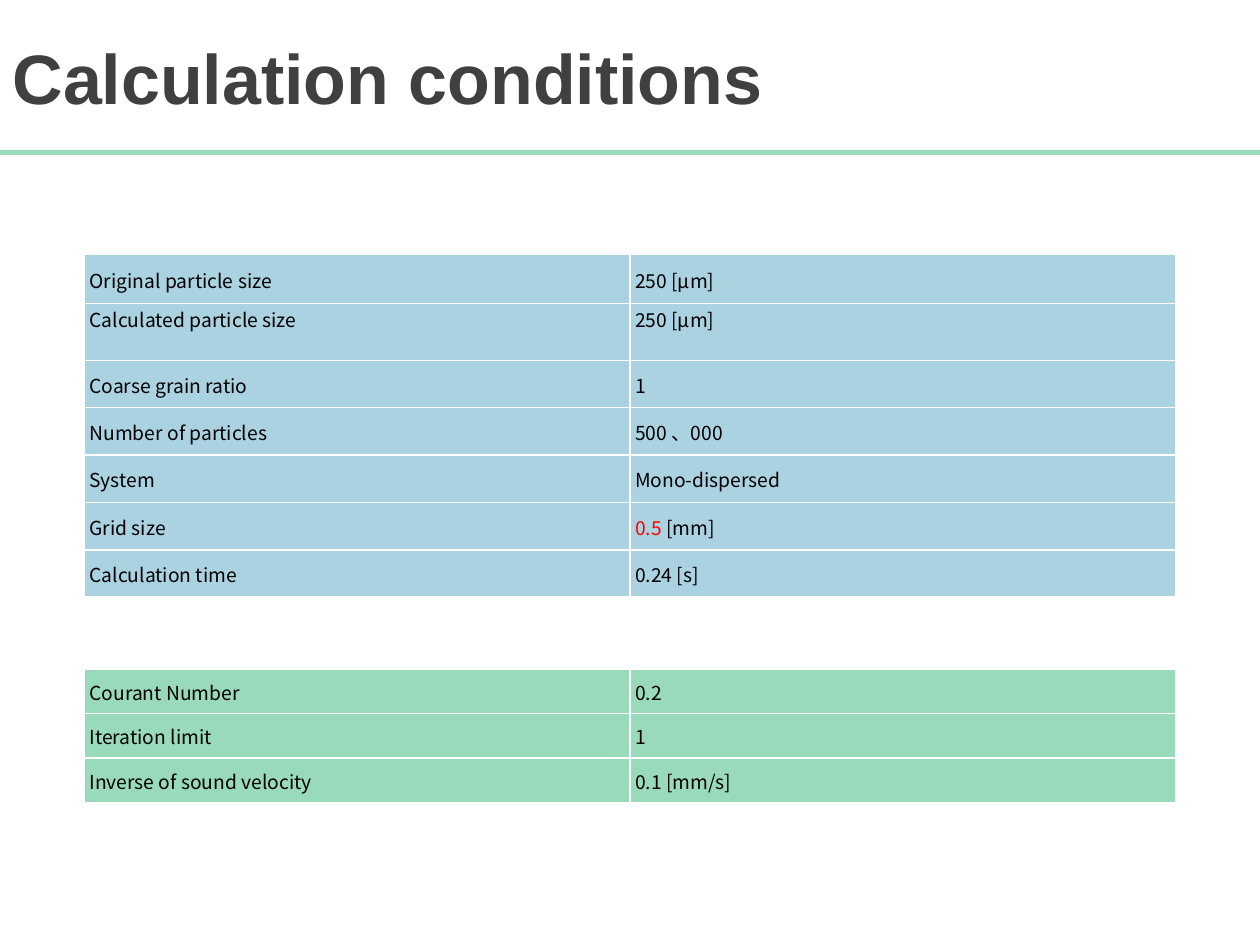
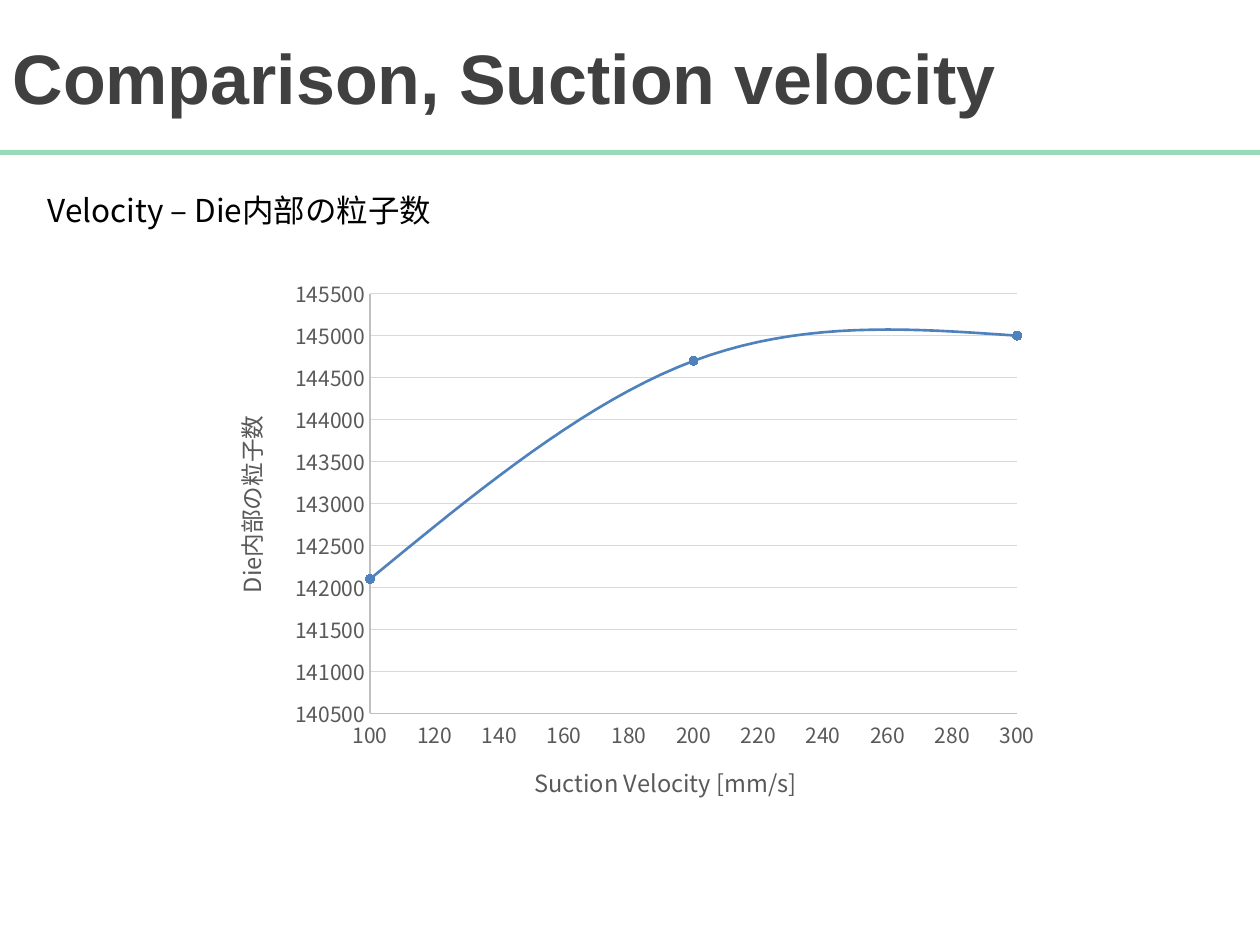
from lxml.etree import SubElement
from pptx import Presentation
from pptx.chart.data import XyChartData
from pptx.dml.color import RGBColor
from pptx.enum.chart import XL_AXIS_CROSSES, XL_CHART_TYPE, XL_MARKER_STYLE, XL_TICK_MARK
from pptx.enum.shapes import MSO_SHAPE
from pptx.enum.text import MSO_ANCHOR, MSO_AUTO_SIZE, PP_ALIGN
from pptx.oxml import parse_xml
from pptx.oxml.ns import nsdecls, qn
from pptx.util import Inches, Pt

COLORS = {
    "title": "404040", "text": "000000", "highlight": "FF0000", "white": "FFFFFF",
    "green": "99DABA", "blue": "ABD2E1", "series": "4F81BD",
    "axis_text": "595959", "axis_line": "BFBFBF", "grid": "D9D9D9",
}
RGB = {name: RGBColor.from_string(value) for name, value in COLORS.items()}
TITLE_FONT = "Arial"
BODY_FONT = "Noto Sans CJK KR"


def add_run(paragraph, text, size, color="text", font=BODY_FONT, bold=False):
    """Add one run whose font also covers East Asian characters."""
    run = paragraph.add_run()
    run.text = text
    run.font.size = Pt(size)
    run.font.bold = bold
    run.font.color.rgb = RGB[color]
    run.font.name = font
    SubElement(run._r.get_or_add_rPr(), qn("a:ea")).set("typeface", font)


def set_layout(parent, position, **parts):
    """Fix the place of a chart part, in fractions of the chart; parts are x, y, w, h."""
    for old in parent.findall(qn("c:layout")):
        parent.remove(old)
    target = '<c:layoutTarget val="inner"/>' if "w" in parts else ""
    modes = "".join(f'<c:{key}Mode val="edge"/>' for key in "xy")
    values = "".join(f'<c:{key} val="{value}"/>' for key, value in parts.items())
    parent.insert(position, parse_xml(
        f'<c:layout {nsdecls("c")}><c:manualLayout>{target}{modes}{values}'
        '</c:manualLayout></c:layout>'))


prs = Presentation()
prs.slide_width, prs.slide_height = Inches(10), Inches(7.5)

# Shared title and band
slides = []
for heading in ["Calculation conditions", "Comparison, Suction velocity"]:
    slide = prs.slides.add_slide(prs.slide_layouts[5])
    title = slide.shapes.title
    title.left, title.top = Inches(0), Inches(0.02)
    title.width, title.height = Inches(10), Inches(1.17)
    title.text_frame.auto_size = MSO_AUTO_SIZE.NONE
    title.text_frame.vertical_anchor = MSO_ANCHOR.MIDDLE
    title_line = title.text_frame.paragraphs[0]
    title_line.alignment = PP_ALIGN.LEFT
    add_run(title_line, heading, 40, "title", TITLE_FONT, bold=True)

    band = slide.shapes.add_shape(
        MSO_SHAPE.RECTANGLE, Inches(0), Inches(1.19), Inches(10), Inches(0.04))
    band.shadow.inherit = False
    band.fill.solid()
    band.fill.fore_color.rgb = RGB["green"]
    band.line.fill.background()
    slides.append(slide)
conditions_slide, comparison_slide = slides

# Calculation conditions: each value is a list of (text, color) runs
particle_rows = [
    ("Original particle size", [("250 [μm]", "text")]),
    ("Calculated particle size", [("250 [μm]", "text")]),
    ("Coarse grain ratio", [("1", "text")]),
    ("Number of particles", [("500 、000", "text")]),
    ("System", [("Mono-dispersed", "text")]),
    ("Grid size", [("0.5", "highlight"), (" [mm]", "text")]),
    ("Calculation time", [("0.24 [s]", "text")]),
]
solver_rows = [
    ("Courant Number", [("0.2", "text")]),
    ("Iteration limit", [("1", "text")]),
    ("Inverse of sound velocity", [("0.1 [mm/s]", "text")]),
]
condition_tables = [
    (particle_rows, 2.02, [0.39, 0.45] + [1.88 / 5] * 5, "blue"),
    (solver_rows, 5.31, [1.06 / 3] * 3, "green"),
]
for rows, top, heights, fill in condition_tables:
    table = conditions_slide.shapes.add_table(
        len(rows), 2, Inches(0.67), Inches(top), Inches(8.66), Inches(sum(heights))).table
    table.first_row = table.horz_banding = False
    for row_index, (label, value) in enumerate(rows):
        table.rows[row_index].height = Inches(heights[row_index])
        for column, runs in enumerate([[(label, "text")], value]):
            cell = table.cell(row_index, column)
            cell.margin_left = Inches(0.04)
            cell.margin_top = cell.margin_right = Inches(0.01)
            cell.margin_bottom = Inches(0)
            top_aligned = label == "Calculated particle size"
            cell.vertical_anchor = MSO_ANCHOR.TOP if top_aligned else MSO_ANCHOR.MIDDLE
            for side in ["lnL", "lnR", "lnT", "lnB"]:
                cell._tc.get_or_add_tcPr().append(parse_xml(
                    f'<a:{side} {nsdecls("a")} w="12700"><a:solidFill>'
                    f'<a:srgbClr val="{COLORS["white"]}"/></a:solidFill></a:{side}>'))
            cell.fill.solid()
            cell.fill.fore_color.rgb = RGB[fill]
            for text, color in runs:
                add_run(cell.text_frame.paragraphs[0], text, 11, color)

# Comparison of suction velocities
caption = comparison_slide.shapes.add_textbox(
    Inches(0.28), Inches(1.47), Inches(5.2), Inches(0.4)).text_frame
caption.word_wrap = True
add_run(caption.paragraphs[0], "Velocity – Die内部の粒子数", 18)

particle_counts = XyChartData()
count_series = particle_counts.add_series("Series 1")
for velocity, count in [(100, 142100), (200, 144700), (300, 145000)]:
    count_series.add_data_point(velocity, count)
chart = comparison_slide.shapes.add_chart(
    XL_CHART_TYPE.XY_SCATTER_SMOOTH, Inches(1.67), Inches(2.11),
    Inches(6.67), Inches(4.44), particle_counts).chart
chart.has_title = chart.has_legend = False
chart.font.name = BODY_FONT
chart.font.size = Pt(10)
chart.plots[0].vary_by_categories = False
set_layout(chart.plots[0]._element.getparent(), 0, x=0.19, y=0.05, w=0.77, h=0.75)

curve = chart.plots[0].series[0]
curve._element.get_or_add_smooth().val = True
curve.format.line.color.rgb = RGB["series"]
curve.format.line.width = Pt(1.5)
curve.marker.style = XL_MARKER_STYLE.CIRCLE
curve.marker.size = 5
curve.marker.format.fill.solid()
curve.marker.format.fill.fore_color.rgb = RGB["series"]
curve.marker.format.line.color.rgb = RGB["series"]

axes = [
    (chart.category_axis, "Suction Velocity [mm/s]", 100, 300, 20, 0.38, 0.88),
    (chart.value_axis, "Die内部の粒子数", 140500, 145500, 500, 0.02, 0.26),
]
for axis, axis_name, low, high, step, name_x, name_y in axes:
    axis.minimum_scale, axis.maximum_scale, axis.major_unit = low, high, step
    axis.crosses = XL_AXIS_CROSSES.MINIMUM
    axis.major_tick_mark = axis.minor_tick_mark = XL_TICK_MARK.NONE
    axis.has_major_gridlines = axis is chart.value_axis
    axis.format.line.color.rgb = RGB["axis_line"]
    axis.format.line.width = Pt(0.75)
    axis.tick_labels.font.size = Pt(12)
    axis.tick_labels.font.name = BODY_FONT
    axis.tick_labels.font.color.rgb = RGB["axis_text"]
    axis.tick_labels.number_format = "General"
    axis.tick_labels.number_format_is_linked = False
    add_run(axis.axis_title.text_frame.paragraphs[0], axis_name, 13.5, "axis_text")
    set_layout(axis.axis_title._element, 1, x=name_x, y=name_y)
# The axis proxies are made anew on each access, so gridlines are set by axis role
chart.category_axis.has_major_gridlines = False
chart.value_axis.has_major_gridlines = True
name_body = chart.value_axis.axis_title._element.find(".//" + qn("a:bodyPr"))
name_body.set("rot", "-5400000")
name_body.set("vert", "horz")
gridlines = chart.value_axis.major_gridlines.format.line
gridlines.color.rgb = RGB["grid"]
gridlines.width = Pt(0.75)

prs.save("out.pptx")
